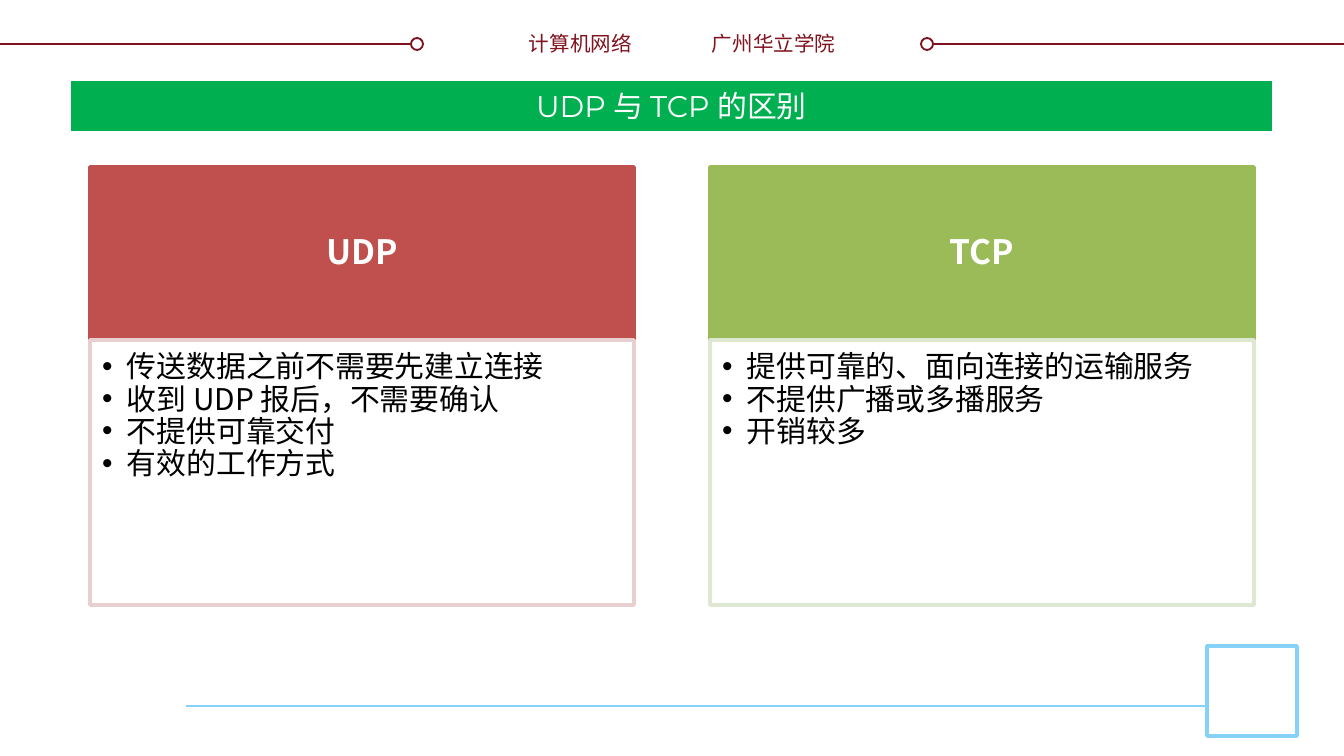
"""Build a slide that compares UDP with TCP in two cards."""
from lxml import etree
from pptx import Presentation
from pptx import util as u
from pptx.dml.color import RGBColor
from pptx.enum import shapes, text
from pptx.oxml.ns import qn

SANS, DISPLAY = "Noto Sans CJK SC", "Montserrat"
WHITE, BLACK = RGBColor(255, 255, 255), RGBColor(0, 0, 0)
MAROON, SKY = RGBColor(0x7F, 0x13, 0x1F), RGBColor(0x85, 0xD1, 0xF7)
GREEN = RGBColor(0x00, 0xB0, 0x50)
RED, PALE_RED = RGBColor(0xC0, 0x50, 0x4D), RGBColor(0xE8, 0xD0, 0xD0)
OLIVE, PALE_OLIVE = RGBColor(0x9B, 0xBB, 0x59), RGBColor(0xDE, 0xE7, 0xD1)

TITLE = "UDP 与 TCP 的区别"
HEADERS = [
    ("计算机网络", (515, 24, 130, 39), text.PP_ALIGN.RIGHT),
    ("广州华立学院", (699, 24, 156, 39), text.PP_ALIGN.LEFT),
]
CARDS = [
    ("UDP", RED, PALE_RED, [
        "传送数据之前不需要先建立连接",
        "收到 UDP 报后，不需要确认",
        "不提供可靠交付",
        "有效的工作方式",
    ]),
    ("TCP", OLIVE, PALE_OLIVE, [
        "提供可靠的、面向连接的运输服务",
        "不提供广播或多播服务",
        "开销较多",
    ]),
]
RULES = [
    ((0, 44), (411, 44), MAROON, 1),
    ((933, 44), (1344, 44), MAROON, 1),
    ((186, 706), (1206, 706), SKY, 1.5),
]
MARKERS = [
    (shapes.MSO_SHAPE.OVAL, (411, 38, 12, 12), MAROON, 1),
    (shapes.MSO_SHAPE.OVAL, (921, 38, 12, 12), MAROON, 1),
    (shapes.MSO_SHAPE.RECTANGLE, (1207, 646, 90, 90), SKY, 2),
]
CARD_LEFT, CARD_TOP, CARD_STEP, CARD_WIDTH = 90, 167, 620, 544
HEAD_HEIGHT, LIST_HEIGHT = 173, 265


def px(count):
    return u.Emu(round(count * 914400 / 134.4))


def place(shape, left, top, width, height):
    shape.left, shape.top = px(left), px(top)
    shape.width, shape.height = px(width), px(height)


def paint(shape, fill, line=None, weight=1):
    shape.fill.solid()
    shape.fill.fore_color.rgb = fill
    if line is None:
        shape.line.fill.background()
    else:
        shape.line.color.rgb = line
        shape.line.width = u.Pt(weight)


def write(shape, lines, *, size, color, font=SANS, bold=False, wrap=True,
          align=text.PP_ALIGN.LEFT, anchor=text.MSO_ANCHOR.TOP,
          insets=(13, 7, 13, 7), spacing=1.0, bullet=False):
    frame = shape.text_frame
    frame.word_wrap = wrap
    frame.auto_size = text.MSO_AUTO_SIZE.NONE
    frame.vertical_anchor = anchor
    (frame.margin_left, frame.margin_top,
     frame.margin_right, frame.margin_bottom) = map(px, insets)
    for index, line in enumerate(lines):
        para = frame.add_paragraph() if index else frame.paragraphs[0]
        para.alignment = align
        para.line_spacing = spacing
        para.space_before = para.space_after = u.Pt(0)
        if bullet:
            props = para._p.get_or_add_pPr()
            props.set("marL", str(px(25)))
            props.set("indent", str(-px(25)))
            etree.SubElement(props, qn("a:buChar")).set("char", "•")
        span = para.add_run()
        span.text = line
        span.font.size = u.Pt(size)
        span.font.bold = bold
        span.font.color.rgb = color
        span.font.name = font
        east = etree.SubElement(span.font._element, qn("a:ea"))
        east.set("typeface", SANS)


def build():
    deck = Presentation()
    deck.slide_width, deck.slide_height = px(1344), px(756)
    page = deck.slides.add_slide(deck.slide_layouts.get_by_name("Comparison"))
    title, *parts = page.placeholders

    for start, end, color, weight in RULES:
        rule = page.shapes.add_connector(
            shapes.MSO_CONNECTOR.STRAIGHT, *map(px, start + end))
        rule.line.color.rgb = color
        rule.line.width = u.Pt(weight)
        etree.SubElement(rule._element.spPr, qn("a:effectLst"))
    for kind, area, color, weight in MARKERS:
        marker = page.shapes.add_shape(kind, *map(px, area))
        marker.shadow.inherit = False
        paint(marker, WHITE, color, weight)
    for label, area, align in HEADERS:
        box = page.shapes.add_textbox(*map(px, area))
        write(box, [label], size=11, color=MAROON, align=align, wrap=False)

    place(title, 71, 81, 1201, 50)
    paint(title, GREEN)
    write(title, [TITLE], size=16, color=WHITE, font=DISPLAY,
          align=text.PP_ALIGN.CENTER, anchor=text.MSO_ANCHOR.MIDDLE)

    pairs = zip(parts[::2], parts[1::2])
    for index, ((head, body), card) in enumerate(zip(pairs, CARDS)):
        name, color, pale, points = card
        left = CARD_LEFT + index * CARD_STEP
        place(head, left, CARD_TOP, CARD_WIDTH, HEAD_HEIGHT)
        paint(head, color, color, 2)
        write(head, [name], size=18, color=WHITE, bold=True, spacing=0.9,
              align=text.PP_ALIGN.CENTER, anchor=text.MSO_ANCHOR.MIDDLE,
              insets=(19, 11, 19, 11))
        place(body, left, CARD_TOP + HEAD_HEIGHT, CARD_WIDTH, LIST_HEIGHT)
        paint(body, WHITE, pale, 2)
        write(body, points, size=16, color=BLACK, spacing=0.9, bullet=True,
              insets=(12, 12, 16, 19))

    deck.save("out.pptx")


if __name__ == "__main__":
    build()
